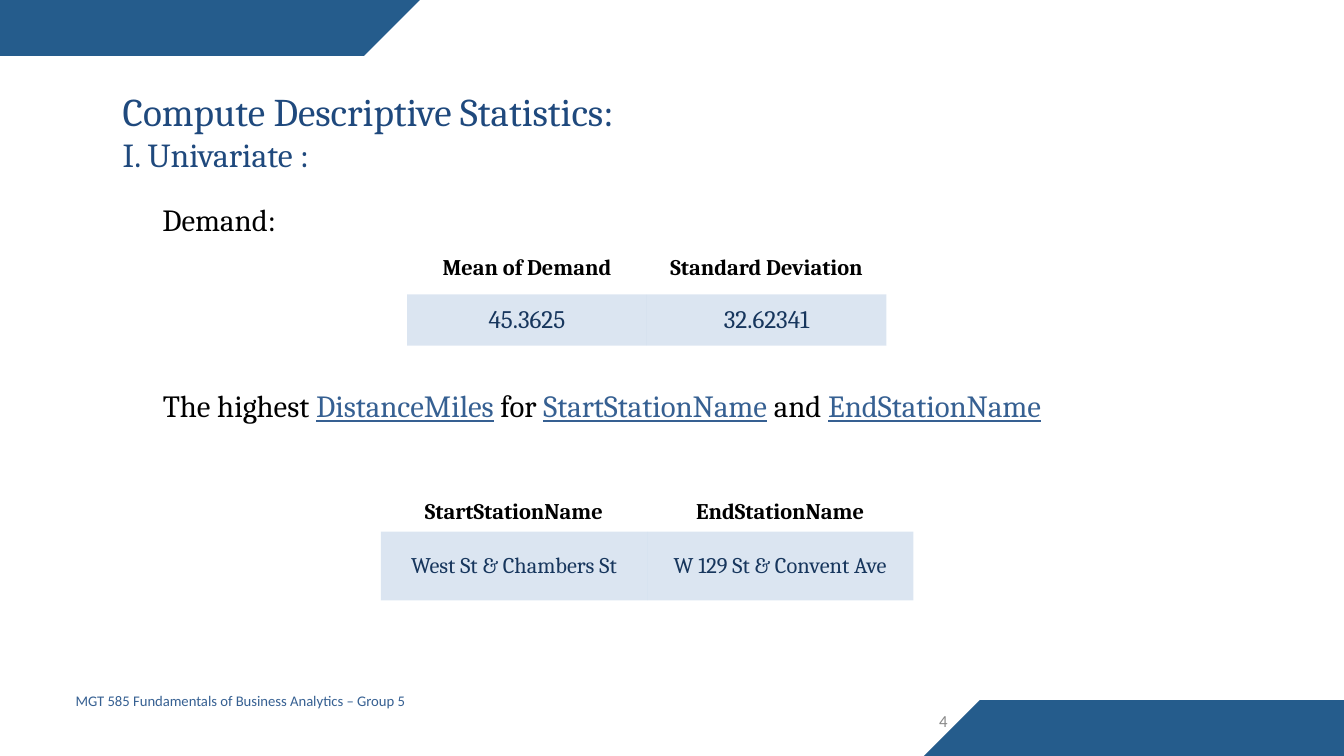
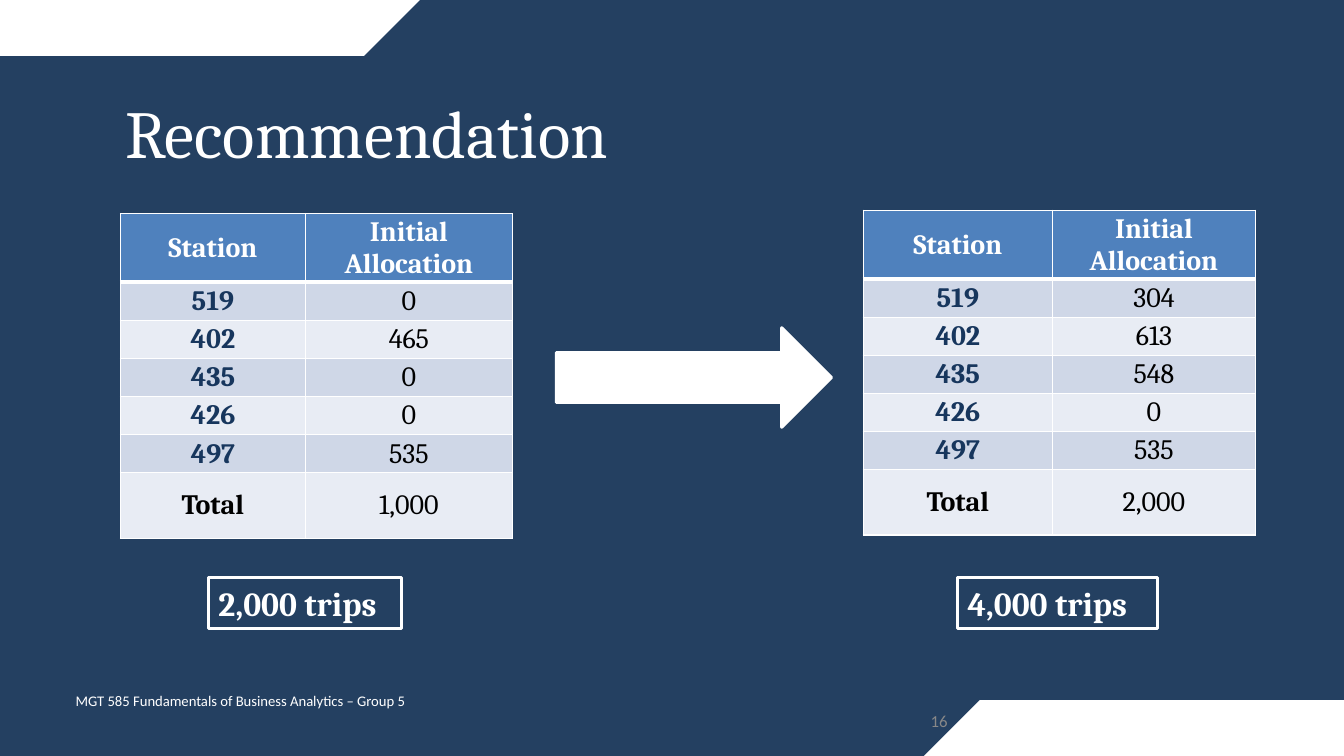
from dataclasses import dataclass
from typing import Optional

from lxml.etree import SubElement
from pptx import Presentation
from pptx.dml.color import RGBColor
from pptx.enum.shapes import MSO_SHAPE
from pptx.enum.text import MSO_ANCHOR, PP_ALIGN
from pptx.oxml.ns import qn
from pptx.util import Pt


@dataclass(frozen=True)
class Theme:
    white: str = "FFFFFF"
    black: str = "000000"
    navy: str = "244061"
    band: str = "255C8C"
    title: str = "1F497D"
    accent: str = "366092"
    value: str = "17365D"
    header: str = "4F81BD"
    stripe_dark: str = "CFD7E7"
    stripe_light: str = "E8ECF4"
    page: str = "888888"
    serif: str = "Cambria"
    sans: str = "Calibri"
    hero_size: float = 48
    title_size: float = 28
    subtitle_size: float = 24
    body_size: float = 22
    allocation_size: float = 20
    figure_size: float = 18
    label_size: float = 16
    page_size: float = 12
    footer_size: float = 10.5


THEME = Theme()
BOX_INSETS = (7.2, 3.6, 7.2, 3.6)
NO_INSETS = (0, 0, 0, 0)
CELL_INSETS = (0.72, 0.72, 0.72, 0)


@dataclass(frozen=True)
class Box:
    left: float
    top: float
    width: float
    height: float

    def lengths(self):
        return Pt(self.left), Pt(self.top), Pt(self.width), Pt(self.height)


@dataclass(frozen=True)
class Run:
    text: str
    size: float
    color: str
    bold: bool = False
    underline: bool = False
    font: str = THEME.serif


@dataclass(frozen=True)
class Cell:
    run: Run
    fill: Optional[str] = None
    opacity: int = 100


@dataclass(frozen=True)
class Allocation:
    left: float
    top: float
    columns: tuple[float, float]
    counts: tuple[str, ...]
    trips: str
    trips_box: Box


STATIONS = ("519", "402", "435", "426", "497", "Total")
ALLOCATION_ROWS = (49.2,) + (27.2,) * 5 + (46.9,)
ALLOCATIONS = (
    Allocation(86, 152.4, (132.2, 147.8), ("0", "465", "0", "0", "535", "1,000"),
               "2,000 trips", Box(149, 412.6, 137.6, 36.3)),
    Allocation(616.6, 150.2, (135.2, 145), ("304", "613", "548", "0", "535", "2,000"),
               "4,000 trips", Box(684, 412.6, 142.6, 36.3)),
)


def write_paragraph(paragraph, runs: list[Run]) -> None:
    for run in runs:
        piece = paragraph.add_run()
        piece.text = run.text
        font = piece.font
        font.name, font.size = run.font, Pt(run.size)
        font.bold, font.underline = run.bold, run.underline
        font.color.rgb = RGBColor.from_string(run.color)


def fill_frame(frame, lines: list[list[Run]], insets=BOX_INSETS,
               align=PP_ALIGN.LEFT, anchor=MSO_ANCHOR.TOP) -> None:
    frame.word_wrap = True
    frame.vertical_anchor = anchor
    (frame.margin_left, frame.margin_top,
     frame.margin_right, frame.margin_bottom) = map(Pt, insets)
    for index, runs in enumerate(lines):
        paragraph = frame.add_paragraph() if index else frame.paragraphs[0]
        paragraph.alignment = align
        write_paragraph(paragraph, runs)


def add_text(slide, box: Box, lines: list[list[Run]], **layout):
    frame = slide.shapes.add_textbox(*box.lengths()).text_frame
    fill_frame(frame, lines, **layout)
    return frame


def add_band(slide, corners: list[tuple[float, float]], color: str) -> None:
    points = [(Pt(x), Pt(y)) for x, y in corners]
    builder = slide.shapes.build_freeform(*points[0], scale=1.0)
    builder.add_line_segments(points[1:], close=True)
    band = builder.convert_to_shape()
    band.shadow.inherit = False
    band.fill.solid()
    band.fill.fore_color.rgb = RGBColor.from_string(color)
    band.line.fill.background()


def add_base(deck, background: str, band: str, footer: str, page: str):
    """Add a blank slide with its background, corner bands, footer and page number."""
    slide = deck.slides.add_slide(deck.slide_layouts[6])
    slide.background.fill.solid()
    slide.background.fill.fore_color.rgb = RGBColor.from_string(background)
    add_band(slide, [(0, 0), (300, 0), (260, 40), (0, 40)], band)
    add_band(slide, [(660, 540), (700, 500), (960, 500), (960, 540)], band)
    add_text(slide, Box(516, 500.6, 168, 28.8),
             [[Run(page, THEME.page_size, THEME.page, font=THEME.sans)]],
             align=PP_ALIGN.RIGHT, anchor=MSO_ANCHOR.MIDDLE)
    add_text(slide, Box(54, 494, 243.4, 13),
             [[Run("MGT 585 Fundamentals of Business Analytics – Group 5",
                   THEME.footer_size, footer, font=THEME.sans)]], insets=NO_INSETS)
    return slide


def set_borders(cell, width: float, bottom: float) -> None:
    """Draw white cell borders; a zero width means none."""
    properties = cell._tc.get_or_add_tcPr()
    for position, side in enumerate(("lnL", "lnR", "lnT", "lnB")):
        weight = bottom if side == "lnB" else width
        line = properties.makeelement(qn(f"a:{side}"), {"w": str(Pt(weight))})
        if weight:
            SubElement(SubElement(line, qn("a:solidFill")), qn("a:srgbClr"), val=THEME.white)
        else:
            SubElement(line, qn("a:noFill"))
        properties.insert(position, line)


def paint_cell(cell, color: Optional[str], opacity: int) -> None:
    if color is None:
        cell.fill.background()
        return
    cell.fill.solid()
    cell.fill.fore_color.rgb = RGBColor.from_string(color)
    if opacity < 100:
        tint = cell._tc.tcPr.find(qn("a:solidFill")).find(qn("a:srgbClr"))
        SubElement(tint, qn("a:alpha"), val=str(opacity * 1000))


def add_grid(slide, left: float, top: float, columns: tuple[float, ...],
             heights: tuple[float, ...], rows: list[list[Cell]],
             insets=BOX_INSETS, border: float = 0, header_rule: float = 0) -> None:
    box = Box(left, top, sum(columns), sum(heights))
    table = slide.shapes.add_table(len(rows), len(columns), *box.lengths()).table
    table.first_row = table.horz_banding = False
    for column, width in zip(table.columns, columns):
        column.width = Pt(width)
    for index, (height, row) in enumerate(zip(heights, rows)):
        table.rows[index].height = Pt(height)
        for cell, content in zip(table.rows[index].cells, row):
            paint_cell(cell, content.fill, content.opacity)
            set_borders(cell, border, border if index else header_rule)
            cell.vertical_anchor = MSO_ANCHOR.MIDDLE
            (cell.margin_left, cell.margin_top,
             cell.margin_right, cell.margin_bottom) = map(Pt, insets)
            paragraph = cell.text_frame.paragraphs[0]
            paragraph.alignment = PP_ALIGN.CENTER
            write_paragraph(paragraph, [content.run])


def add_summary(slide, left: float, top: float, column: float, heights: tuple[float, float],
                labels: list[str], values: list[str], value_size: float) -> None:
    """Add a table of bold labels above one row of tinted values."""
    add_grid(slide, left, top, (column,) * len(labels), heights, [
        [Cell(Run(label, THEME.label_size, THEME.black, bold=True)) for label in labels],
        [Cell(Run(value, value_size, THEME.value), THEME.header, 20) for value in values],
    ])


def add_allocation(slide, allocation: Allocation) -> None:
    size = THEME.allocation_size
    rows = [[Cell(Run(label, size, THEME.white, bold=True), THEME.header)
             for label in ("Station", "Initial Allocation")]]
    for index, (station, count) in enumerate(zip(STATIONS, allocation.counts)):
        stripe = THEME.stripe_light if index % 2 else THEME.stripe_dark
        color = THEME.black if station == "Total" else THEME.value
        rows.append([Cell(Run(station, size, color, bold=True), stripe),
                     Cell(Run(count, size, THEME.black), stripe)])
    add_grid(slide, allocation.left, allocation.top, allocation.columns, ALLOCATION_ROWS,
             rows, insets=CELL_INSETS, border=1, header_rule=3)

    trips = slide.shapes.add_shape(MSO_SHAPE.RECTANGLE, *allocation.trips_box.lengths())
    trips.shadow.inherit = False
    trips.fill.background()
    trips.line.color.rgb = RGBColor.from_string(THEME.white)
    trips.line.width = Pt(2.25)
    fill_frame(trips.text_frame,
               [[Run(allocation.trips, THEME.subtitle_size, THEME.white, bold=True)]])


def build_statistics(deck) -> None:
    slide = add_base(deck, THEME.white, THEME.band, THEME.accent, "4")
    add_text(slide, Box(80.6, 58.5, 790, 70), [
        [Run("Compute Descriptive Statistics:", THEME.title_size, THEME.title)],
        [Run("I. Univariate :", THEME.subtitle_size, THEME.title)],
    ])
    add_text(slide, Box(109, 139.7, 216, 33.8),
             [[Run("Demand:", THEME.body_size, THEME.black)]])
    add_summary(slide, 290.8, 173.5, 171.2, (36.7, 36.7),
                ["Mean of Demand", "Standard Deviation"], ["45.3625", "32.62341"],
                THEME.figure_size)

    def plain(text: str) -> Run:
        return Run(text, THEME.body_size, THEME.black)

    def field(name: str) -> Run:
        return Run(name, THEME.body_size, THEME.accent, underline=True)

    add_text(slide, Box(109.2, 272.8, 732, 33.8), [[
        plain("The highest "), field("DistanceMiles"), plain(" for "),
        field("StartStationName"), plain(" and "), field("EndStationName"),
    ]])
    add_summary(slide, 272, 351.2, 190.2, (28.6, 49),
                ["StartStationName", "EndStationName"],
                ["West St & Chambers St", "W 129 St & Convent Ave"], THEME.label_size)


def build_recommendation(deck) -> None:
    slide = add_base(deck, THEME.navy, THEME.white, THEME.white, "16")
    title = add_text(slide, Box(89.3, 59, 417, 54),
                     [[Run("Recommendation", THEME.hero_size, THEME.white)]],
                     insets=NO_INSETS)
    title.paragraphs[0].line_spacing = 1.11
    arrow = slide.shapes.add_shape(MSO_SHAPE.RIGHT_ARROW, *Box(397.4, 234, 196.6, 71.3).lengths())
    arrow.shadow.inherit = False
    arrow.fill.solid()
    arrow.fill.fore_color.rgb = RGBColor.from_string(THEME.white)
    arrow.line.color.rgb = RGBColor.from_string(THEME.white)
    arrow.line.width = Pt(2)
    for allocation in ALLOCATIONS:
        add_allocation(slide, allocation)


def main() -> None:
    deck = Presentation()
    deck.slide_width, deck.slide_height = Pt(960), Pt(540)
    build_statistics(deck)
    build_recommendation(deck)
    deck.save("out.pptx")


if __name__ == "__main__":
    main()
